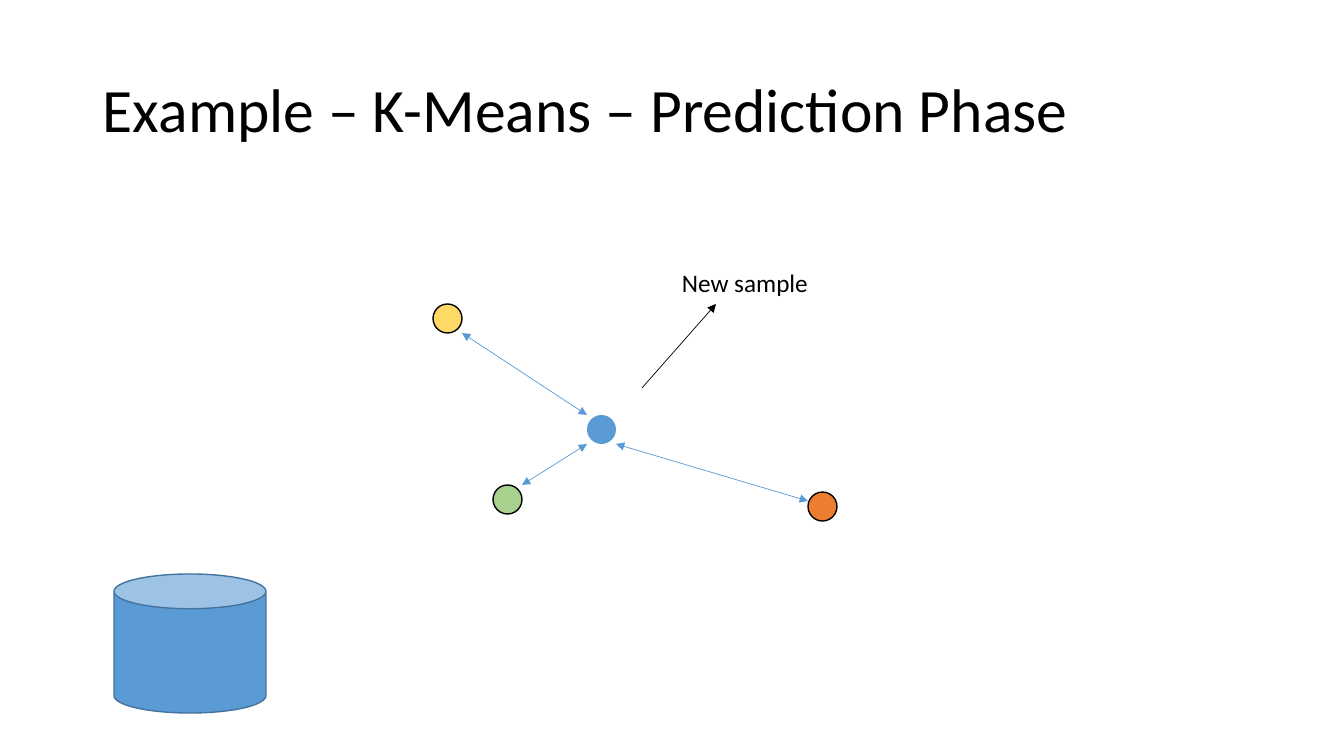
from dataclasses import dataclass
from pptx import Presentation
from pptx.dml.color import RGBColor as RGB
from pptx.enum.shapes import MSO_CONNECTOR as CONN, MSO_SHAPE as SHAPE
from pptx.enum.text import MSO_ANCHOR as ANCHOR
from pptx.oxml.ns import qn
from pptx.util import Pt
from lxml.etree import SubElement

EMU_PER_PX = 914400 / 100.8


def px(n):
    return round(n * EMU_PER_PX)


@dataclass(frozen=True)
class Theme:
    font: str = "Calibri"
    title_size: int = 44
    label_size: int = 18
    text: str = "000000"
    blue: str = "5B9BD5"
    dark_blue: str = "43739E"
    yellow: str = "FFD966"
    orange: str = "ED7D31"
    green: str = "A9D18E"


def add_text(tf, text, *, font, size, color, spacing=None, anchor=ANCHOR.TOP):
    tf.word_wrap = True
    tf.vertical_anchor = anchor
    p = tf.paragraphs[0]
    if spacing:
        p.line_spacing = spacing
    r = p.add_run()
    r.text = text
    r.font.name = font
    r.font.size = Pt(size)
    r.font.color.rgb = RGB.from_string(color)


class Canvas:
    def __init__(self, slide, theme):
        self.s, self.theme = slide, theme

    def text(self, box, text, size, **fmt):
        sp = self.s.shapes.add_textbox(*map(px, box))
        add_text(sp.text_frame, text, font=self.theme.font, size=size,
                 color=self.theme.text, **fmt)

    def shape(self, kind, box, fill, line=None):
        sp = self.s.shapes.add_shape(kind, *map(px, box))
        sp.shadow.inherit = False
        sp.fill.solid()
        sp.fill.fore_color.rgb = RGB.from_string(fill)
        if line:
            sp.line.color.rgb = RGB.from_string(line)
            sp.line.width = Pt(1)
        else:
            sp.line.fill.background()

    def arrow(self, start, end, color, ends=("tailEnd",)):
        cx = self.s.shapes.add_connector(CONN.STRAIGHT, *map(px, (*start, *end)))
        cx.line.color.rgb = RGB.from_string(color)
        cx.line.width = Pt(0.5)
        ln = cx.line._get_or_add_ln()
        for tag in ends:
            SubElement(ln, qn(f"a:{tag}"), type="triangle")
        SubElement(cx._element.spPr, qn("a:effectLst"))


theme = Theme()
prs = Presentation()
prs.slide_width, prs.slide_height = px(1344), px(756)
c = Canvas(prs.slides.add_slide(prs.slide_layouts[6]), theme)

# Title
c.text((93, 40, 1159, 146), "Example – K-Means – Prediction Phase",
       theme.title_size, spacing=0.9, anchor=ANCHOR.MIDDLE)

# Centroids and the new sample, joined by distance arrows
DOT = 29
sample = (587, 415)
# Colour, top left, arrow offset at the sample, arrow offset at the centroid
centroids = [
    (theme.yellow, (433, 304), (0, 0), (DOT, DOT)),
    (theme.orange, (808, 492), (DOT, DOT), (0, 9)),
    (theme.green, (493, 485), (0, DOT), (DOT, 0)),
]


def shift(point, offset):
    return point[0] + offset[0], point[1] + offset[1]


for color, pos, _, _ in centroids:
    c.shape(SHAPE.OVAL, (*pos, DOT, DOT), color, theme.text)
c.shape(SHAPE.OVAL, (*sample, DOT, DOT), theme.blue)
for _, pos, at_sample, at_centroid in centroids:
    c.arrow(shift(sample, at_sample), shift(pos, at_centroid), theme.blue,
            ends=("headEnd", "tailEnd"))

# Data store
c.shape(SHAPE.CAN, (114, 574, 152, 139), theme.blue, theme.dark_blue)

# Label of the new sample
c.arrow((642, 388), (716, 304), theme.text)
c.text((672, 262, 152, 40), "New sample", theme.label_size)

prs.save("out.pptx")
